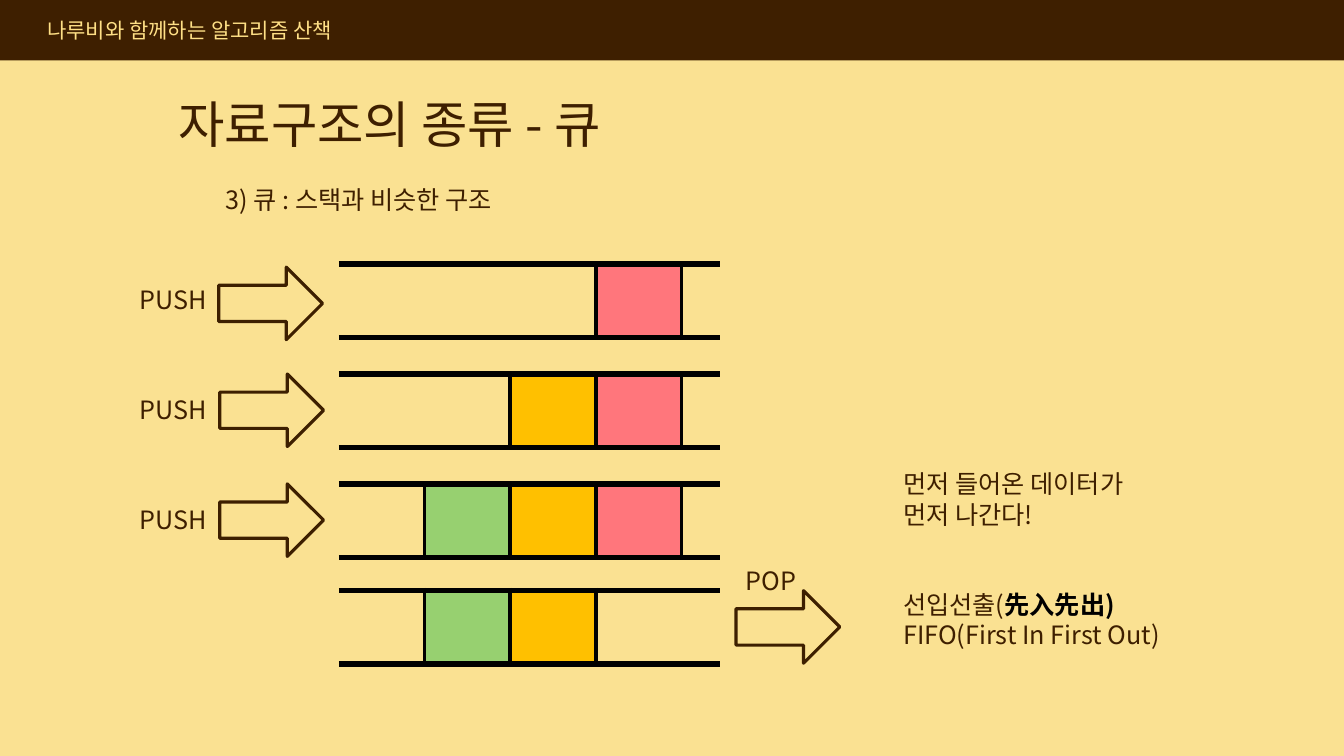
from lxml import etree
from pptx import Presentation
from pptx.dml.color import RGBColor
from pptx.enum.shapes import MSO_SHAPE as Shape
from pptx.oxml.ns import qn
from pptx.util import Inches, Pt

FONT = "Noto Sans CJK KR"
BROWN, OUTLINE, CREAM, GOLD = "3E1F00", "3D1F00", "FAE192", "FFE086"
BLACK, GREEN, ORANGE, RED = "000000", "97D070", "FFC000", "FF767C"
CELL_W, QUEUE_H, TAIL_W = 0.85, 0.73, 0.38
RAIL_PT, DIVIDER_PT = 4.5, 3


def paint(color_format, color):
    color_format.rgb = RGBColor.from_string(color)


def add_run(paragraph, text, size=18, color=BROWN, bold=False):
    run = paragraph.add_run()
    run.text = text
    run.font.size, run.font.bold, run.font.name = Pt(size), bold, FONT
    paint(run.font.color, color)
    east_asian = etree.SubElement(run._r.get_or_add_rPr(), qn("a:ea"))
    east_asian.set("typeface", FONT)


def add_text(slide, box, *lines, gaps=None, **style):
    """Each line is a string or a list of (text, format) runs; gaps maps line index to points before."""
    frame = slide.shapes.add_textbox(*map(Inches, box)).text_frame
    frame.word_wrap = True
    for index, line in enumerate(lines):
        paragraph = frame.add_paragraph() if index else frame.paragraphs[0]
        if gaps and index in gaps:
            paragraph.space_before = Pt(gaps[index])
        for text, extra in [(line, {})] if isinstance(line, str) else line:
            add_run(paragraph, text, **{**style, **extra})


def set_borders(cell, widths):
    """Draw the sides given as points; a side of zero is left open."""
    properties = cell._tc.get_or_add_tcPr()
    for position, (side, width) in enumerate(zip("LRTB", widths)):
        line = etree.Element(qn(f"a:ln{side}"), w=str(Pt(width)))
        if width:
            fill = etree.SubElement(line, qn("a:solidFill"))
            etree.SubElement(fill, qn("a:srgbClr"), val=BLACK)
        else:
            etree.SubElement(line, qn("a:noFill"))
        properties.insert(position, line)


def add_queue(slide, left, top, lead, slots):
    """Draw two rails holding the slots, after an open lead-in cell."""
    fills = [None, *slots, None]
    widths = [lead] + [CELL_W] * len(slots) + [TAIL_W]
    frame = slide.shapes.add_table(1, len(fills), *map(Inches, (left, top, sum(widths), QUEUE_H)))
    table = frame.table
    table.first_row = table.horz_banding = False
    table.rows[0].height = Inches(QUEUE_H)
    dividers = [DIVIDER_PT if a or b else 0 for a, b in zip([None, *fills], [*fills, None])]
    for index, (fill, width) in enumerate(zip(fills, widths)):
        table.columns[index].width = Inches(width)
        cell = table.cell(0, index)
        cell.margin_left = cell.margin_right = 0
        if fill:
            cell.fill.solid()
            paint(cell.fill.fore_color, fill)
        else:
            cell.fill.background()
        rail = RAIL_PT if index else 0
        set_borders(cell, (dividers[index], dividers[index + 1], rail, rail))


def add_arrow(slide, left, top):
    arrow = slide.shapes.add_shape(Shape.RIGHT_ARROW, *map(Inches, (left, top, 1.03, 0.72)))
    arrow.shadow.inherit = False
    arrow.fill.background()
    paint(arrow.line.color, OUTLINE)
    arrow.line.width = Pt(2.25)


def add_push(slide, top, arrow_left, arrow_top, slots):
    add_queue(slide, 2.92, top, 0.44, slots)
    add_arrow(slide, arrow_left, arrow_top)
    add_text(slide, (1.29, top + 0.15, 1.07, 0.4), "PUSH")


def add_pop(slide, top, slots):
    add_queue(slide, 3.18, top, 0.18, slots)
    add_arrow(slide, 7.3, top)
    add_text(slide, (7.3, top - 0.3, 1.07, 0.4), "POP")


def add_header(slide):
    band = slide.shapes.add_shape(Shape.RECTANGLE, 0, 0, Inches(13.33), Inches(0.6))
    band.shadow.inherit = False
    band.fill.solid()
    paint(band.fill.fore_color, BROWN)
    band.line.fill.background()
    add_text(slide, (0.37, 0.12, 5, 0.35), "나루비와 함께하는 알고리즘 산책", size=15, color=GOLD)


def add_summary(slide, box):
    add_text(slide, box, "먼저 들어온 데이터가", "먼저 나간다!",
             [("선입선출(", {}), ("先入先出)", {"color": BLACK, "bold": True})],
             "FIFO(First In First Out)", gaps={2: 43})


def main():
    deck = Presentation()
    deck.slide_width, deck.slide_height = Inches(13.33), Inches(7.5)
    slide = deck.slides.add_slide(deck.slide_layouts[6])
    slide.background.fill.solid()
    paint(slide.background.fill.fore_color, CREAM)

    add_header(slide)
    add_text(slide, (1.67, 0.87, 5, 0.71), "자료구조의 종류 - 큐", size=36)
    add_text(slide, (2.14, 1.78, 7.52, 0.4), "3) 큐 : 스택과 비슷한 구조")
    add_push(slide, 2.62, 2.17, 2.65, [None, None, None, RED])
    add_push(slide, 3.71, 2.18, 3.71, [None, None, ORANGE, RED])
    add_push(slide, 4.8, 2.18, 4.8, [None, GREEN, ORANGE, RED])
    add_pop(slide, 5.86, [None, GREEN, ORANGE, None])
    add_summary(slide, (8.86, 4.6, 2.81, 1.92))
    deck.save("out.pptx")


if __name__ == "__main__":
    main()
